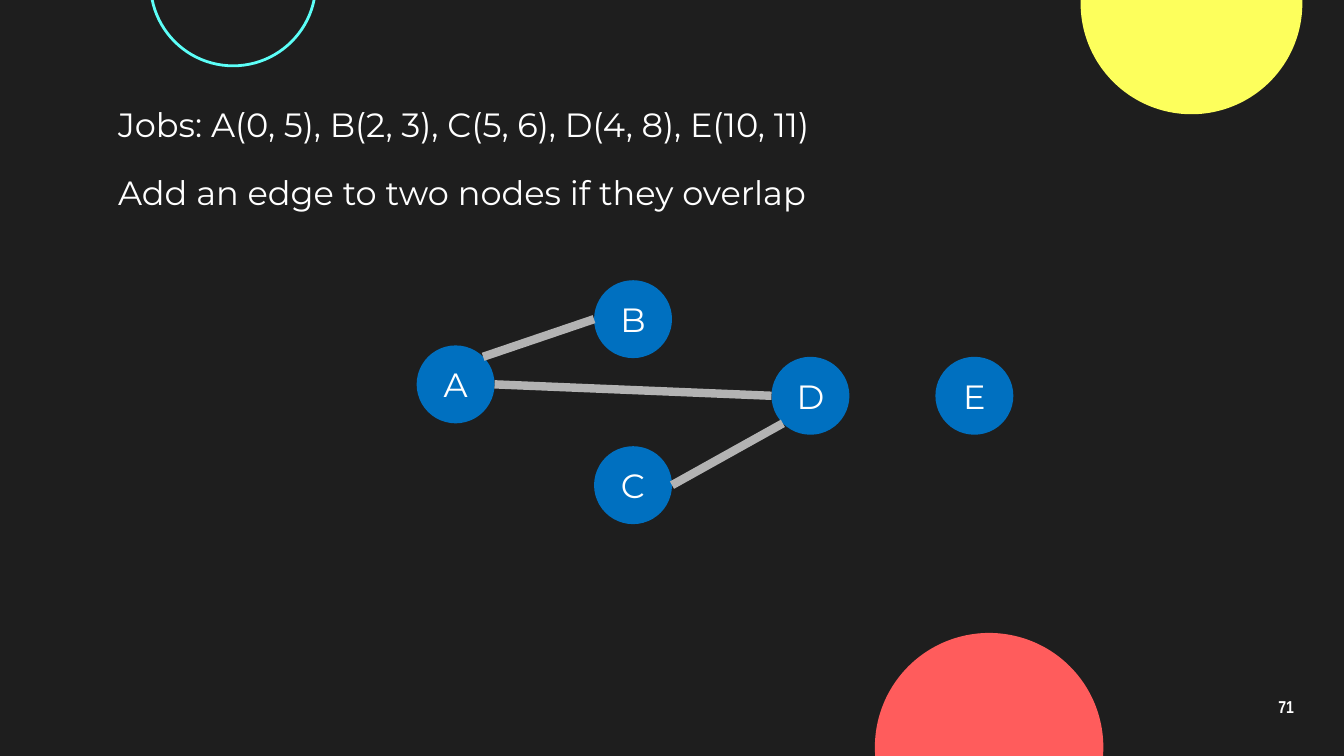
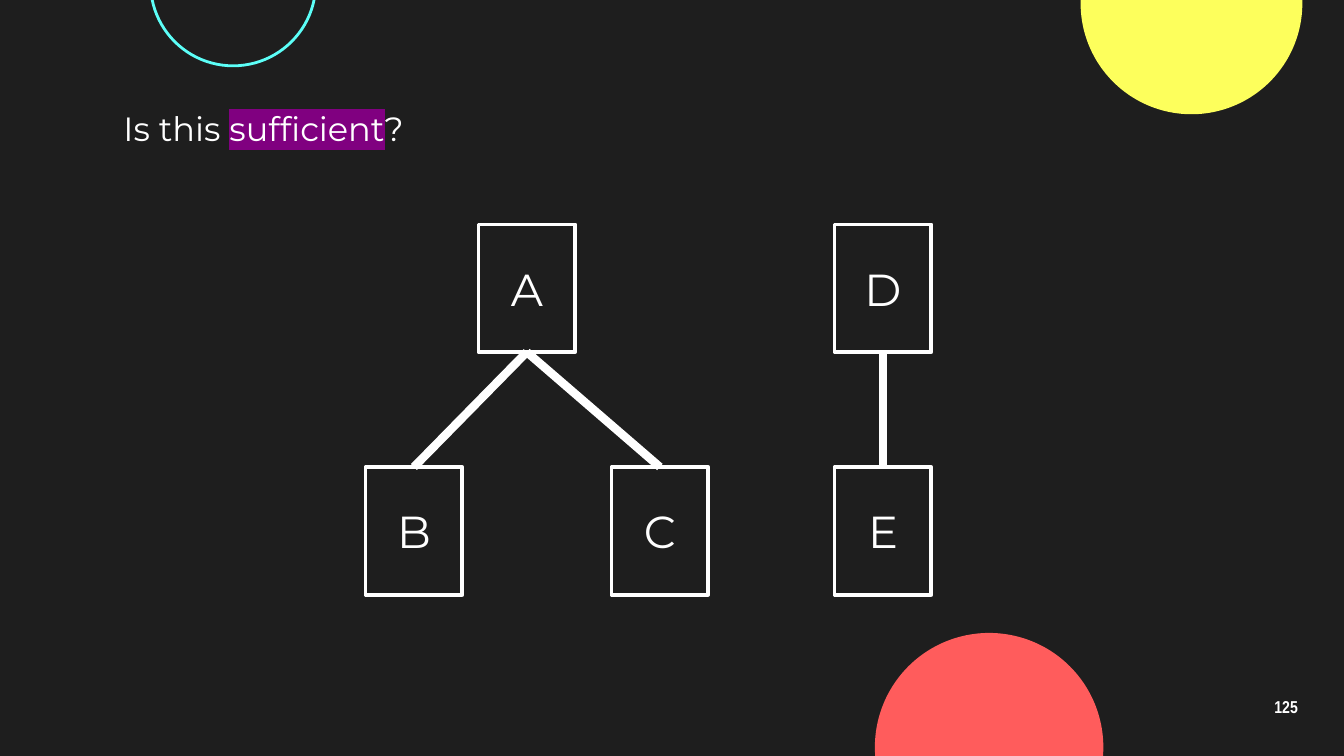
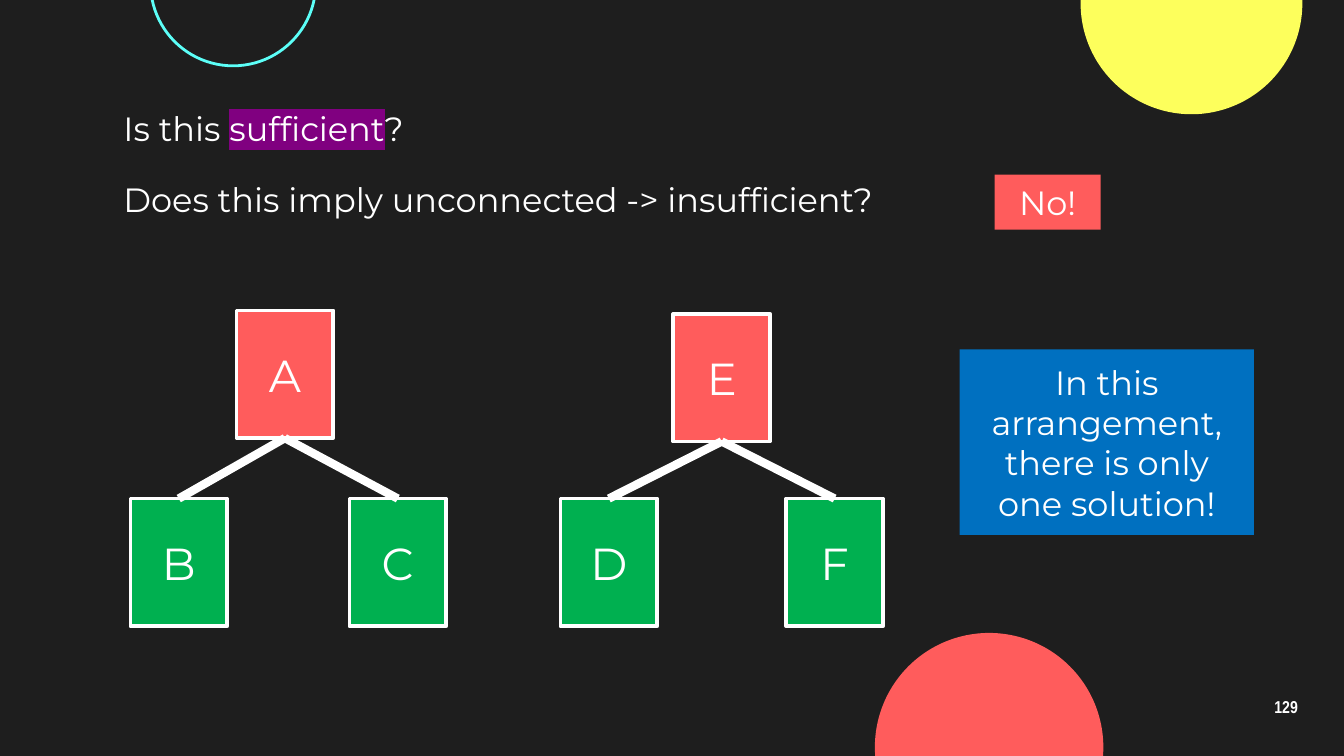
"""Build three dark slides on job overlap graphs and sufficient conditions."""
from math import cos, radians, sin

from lxml import etree
from pptx import Presentation
from pptx import util as u
from pptx.dml.color import RGBColor
from pptx.enum import shapes, text
from pptx.oxml import ns

COLOURS = {
    "background": "1E1E1E", "white": "FFFFFF", "yellow": "FDFF5C",
    "cyan": "5CFFF8", "coral": "FF5C5C", "blue": "0070C0",
    "green": "00B050", "grey": "B3B3B3", "purple": "800080",
}
COLUMNS, ROWS = 100, 56.25
CELL = u.Inches(0.1)
NODE_SIZE = 5.8
CARD_SIZE = (7.2, 9.5)
EDGE_WIDTH = 4.5

BODY = {"name": "Montserrat", "size": u.Pt(18)}
CARD_LETTER = {"name": "Montserrat", "size": u.Pt(24)}
PAGE_NUMBER = {"name": "Arial Narrow", "size": u.Pt(9.2), "bold": True}
MARGINS = {f"margin_{side}": CELL for side in ("left", "top", "right", "bottom")}
CENTRED = {"alignment": text.PP_ALIGN.CENTER}
MIDDLE = {"vertical_anchor": text.MSO_ANCHOR.MIDDLE, "word_wrap": True}

QUESTION = [("Is this ", None), ("sufficient", "purple"), ("?", None)]


def rgb(colour):
    """Return the named colour."""
    return RGBColor.from_string(COLOURS[colour])


def cells(*counts):
    """Turn counts of grid cells into lengths."""
    return [round(count * CELL) for count in counts]


def apply(target, *formats):
    """Set attributes of the target from dicts of format values."""
    for values in formats:
        for key, value in values.items():
            setattr(target, key, value)


def highlight(run, colour):
    """Mark a run that already has its font colour."""
    fill = run.font._element.find(ns.qn("a:solidFill"))
    mark = etree.Element(ns.qn("a:highlight"))
    etree.SubElement(mark, ns.qn("a:srgbClr"), val=COLOURS[colour])
    fill.addnext(mark)


def write(frame, parts, font, frame_format, paragraph_format):
    """Fill a text frame with one paragraph of (words, highlight) parts."""
    apply(frame, frame_format)
    paragraph = frame.paragraphs[0]
    apply(paragraph, paragraph_format)
    for words, mark in parts:
        run = paragraph.add_run()
        run.text = words
        apply(run.font, font)
        run.font.color.rgb = rgb("white")
        if mark:
            highlight(run, mark)


def add_statement(slide, parts, left, top, width):
    """Add one line of body text."""
    box = slide.shapes.add_textbox(*cells(left, top, width, 5.4))
    write(box.text_frame, parts, BODY, {**MARGINS, "word_wrap": True}, {})


def add_figure(slide, kind, area, fill=None, outline=None, width=2):
    """Add a flat preset shape with an optional fill and outline."""
    figure = slide.shapes.add_shape(kind, *cells(*area))
    figure.shadow.inherit = False
    if fill:
        figure.fill.solid()
        figure.fill.fore_color.rgb = rgb(fill)
    else:
        figure.fill.background()
    if outline:
        figure.line.color.rgb = rgb(outline)
        figure.line.width = u.Pt(width)
    else:
        figure.line.fill.background()
    return figure


def add_circle(slide, left, top, size, **style):
    """Add a circle."""
    return add_figure(slide, shapes.MSO_SHAPE.OVAL, (left, top, size, size), **style)


def add_node(slide, letter, left, top):
    """Add a round graph node with its letter."""
    node = add_circle(slide, left, top, NODE_SIZE, fill="blue")
    write(node.text_frame, [(letter, None)], BODY, MIDDLE, CENTRED)
    return node


def add_card(slide, letter, left, top, fill=None):
    """Add an outlined tree card with its letter."""
    card = add_figure(slide, shapes.MSO_SHAPE.RECTANGLE, (left, top, *CARD_SIZE),
                      fill=fill, outline="white")
    write(card.text_frame, [(letter, None)], CARD_LETTER, MIDDLE, CENTRED)
    return card


def add_callout(slide, words, area, fill):
    """Add a filled rectangle with a short message."""
    callout = add_figure(slide, shapes.MSO_SHAPE.RECTANGLE, area, fill=fill)
    write(callout.text_frame, [(words, None)], BODY, {**MARGINS, **MIDDLE}, CENTRED)


def add_edge(slide, start, end, colour):
    """Add a straight edge between two points."""
    edge = slide.shapes.add_connector(shapes.MSO_CONNECTOR.STRAIGHT, *start, *end)
    edge.line.color.rgb = rgb(colour)
    edge.line.width = u.Pt(EDGE_WIDTH)
    etree.SubElement(edge._element.spPr, ns.qn("a:effectLst"))
    return edge


def rim(node, angle):
    """Return the point on a node's rim at an angle clockwise from the right."""
    radius = node.width / 2
    return (round(node.left + radius * (1 + cos(radians(angle)))),
            round(node.top + radius * (1 + sin(radians(angle)))))


def add_graph(slide, nodes, edges):
    """Add round nodes and the edges between points on their rims."""
    placed = {letter: add_node(slide, letter, *place) for letter, place in nodes.items()}
    for first, first_angle, second, second_angle in edges:
        add_edge(slide, rim(placed[first], first_angle),
                 rim(placed[second], second_angle), "grey")


def add_forest(slide, cards, links):
    """Add cards and join each parent's bottom to its child's top."""
    placed = {letter: add_card(slide, letter, *place) for letter, place in cards.items()}
    for parent, child in links:
        edge = add_edge(slide, (0, 0), (0, 0), "white")
        edge.begin_connect(placed[parent], 2)
        edge.end_connect(placed[child], 0)


def add_slide(prs, number):
    """Add a slide with the shared circles and its page number."""
    slide = prs.slides.add_slide(prs.slide_layouts[6])
    add_circle(slide, 80.4, -8, 16.5, fill="yellow")
    add_circle(slide, 11.2, -7.4, 12.3, outline="cyan", width=1.5)
    add_circle(slide, 65.1, 47.1, 17, fill="coral")
    box = slide.shapes.add_textbox(*cells(92.7, 51, 6, 3.4))
    write(box.text_frame, [(str(number), None)], PAGE_NUMBER,
          {**MARGINS, **MIDDLE}, {**CENTRED, "line_spacing": 0.9})
    return slide


def overlap_slide(prs):
    """Show jobs as nodes joined when they overlap."""
    slide = add_slide(prs, 71)
    for top, words in ((6.7, "Jobs: A(0, 5), B(2, 3), C(5, 6), D(4, 8), E(10, 11)"),
                       (11.8, "Add an edge to two nodes if they overlap")):
        add_statement(slide, [(words, None)], 7.8, top, 80.9)
    jobs = {"A": (31, 25.7), "B": (44.2, 20.85), "C": (44.2, 33.2),
            "D": (57.4, 26.55), "E": (69.6, 26.55)}
    overlaps = [("A", -45, "B", 180), ("C", 0, "D", 135), ("A", 0, "D", 180)]
    add_graph(slide, jobs, overlaps)


def sufficient_slide(prs):
    """Ask whether the condition is sufficient."""
    slide = add_slide(prs, 125)
    add_statement(slide, QUESTION, 8.2, 7, 84.8)
    upper, lower = 16.7, 34.75
    cards = {"A": (35.6, upper), "B": (27.2, lower), "C": (45.5, lower),
             "D": (62.1, upper), "E": (62.1, lower)}
    add_forest(slide, cards, ["AB", "AC", "DE"])


def insufficient_slide(prs):
    """Show an unconnected arrangement with one solution."""
    slide = add_slide(prs, 129)
    add_statement(slide, QUESTION, 8.2, 7, 84.8)
    add_statement(slide, [("Does this imply unconnected -> insufficient?", None)],
                  8.2, 12.3, 84.8)
    cards = {"A": (17.6, 23.1, "coral"), "E": (50.1, 23.35, "coral")}
    for letter, left in (("B", 9.7), ("C", 26), ("D", 41.7), ("F", 58.5)):
        cards[letter] = (left, 37.1, "green")
    add_forest(slide, cards, ["AB", "AC", "ED", "EF"])
    add_callout(slide, "No!", (74, 13, 7.9, 4.1), "coral")
    add_callout(slide, "In this arrangement, there is only one solution!",
                (71.4, 26, 21.9, 13.8), "blue")


def main():
    """Build and save the presentation."""
    prs = Presentation()
    prs.slide_width, prs.slide_height = cells(COLUMNS, ROWS)
    backdrop = prs.slide_master.background.fill
    backdrop.solid()
    backdrop.fore_color.rgb = rgb("background")
    for build in (overlap_slide, sufficient_slide, insufficient_slide):
        build(prs)
    prs.save("out.pptx")


if __name__ == "__main__":
    main()
